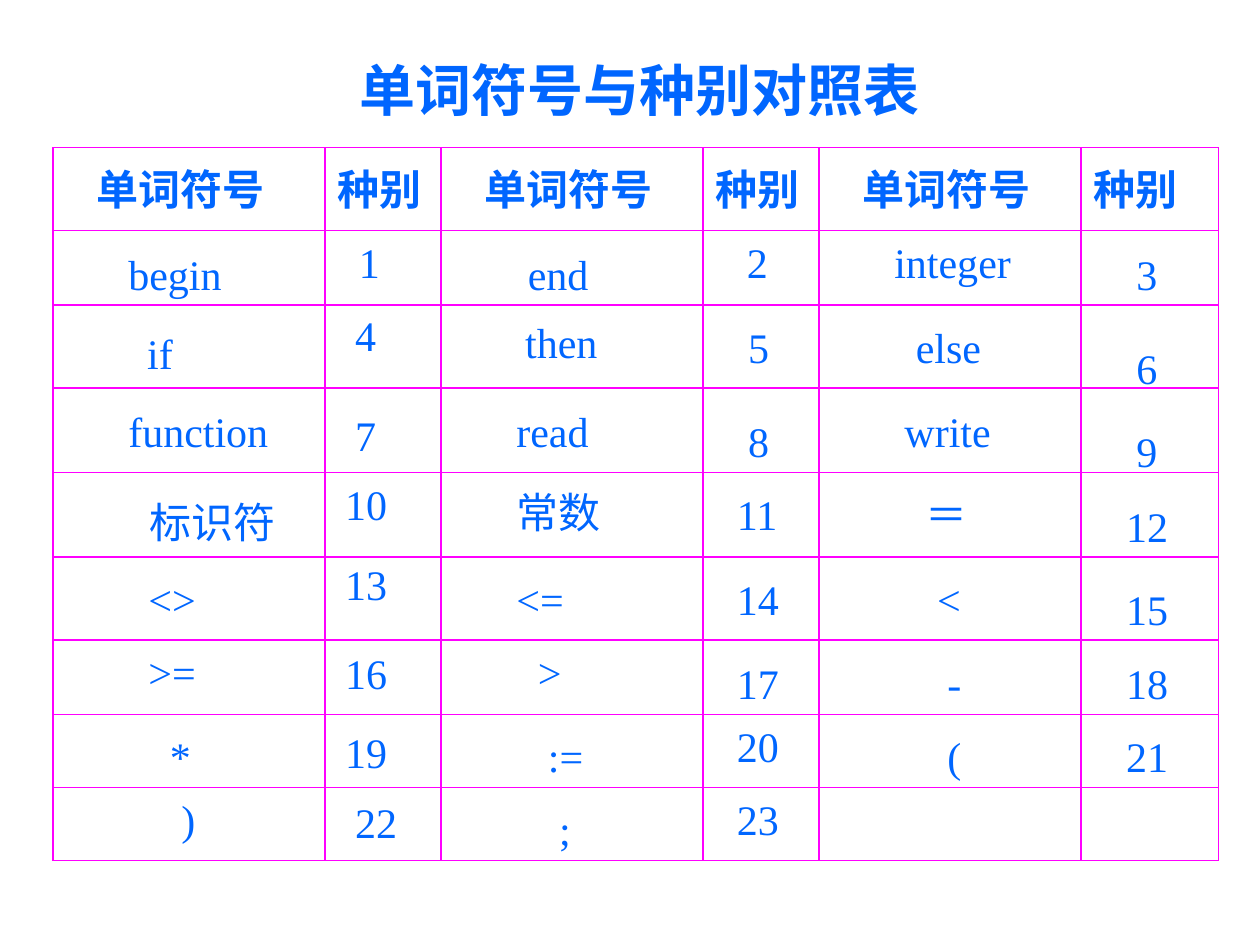
from itertools import accumulate

from lxml import etree
from pptx import Presentation
from pptx.dml.color import RGBColor
from pptx.enum.shapes import MSO_CONNECTOR
from pptx.enum.text import MSO_ANCHOR, MSO_AUTO_SIZE, PP_ALIGN
from pptx.oxml.ns import qn
from pptx.util import Inches, Pt

STRAIGHT = MSO_CONNECTOR.STRAIGHT
MIDDLE = MSO_ANCHOR.MIDDLE
FIT_SHAPE = MSO_AUTO_SIZE.SHAPE_TO_FIT_TEXT
CENTER = PP_ALIGN.CENTER

FONT = "Times New Roman"
BLUE = "0066FF"
MAGENTA = "FF00FF"
ENTRY_HEIGHT = 0.5
WIDTH_SLACK = 0.04

COLUMN_WIDTHS = [2.16, 0.92, 2.08, 0.92, 2.08, 1.09]
ROW_HEIGHTS = [0.66, 0.59, 0.66, 0.67, 0.67, 0.66, 0.59, 0.58, 0.58]

SYMBOLS = [
    ("begin", 0.5, 0.09, 0.94, 0.17, 0),
    ("end", 0.59, 0.09, 0.68, 0.25, 0),
    ("integer", 0.5, 0, 1.12, 0.34, 0.09),
    ("if", 0.65, 0.13, 0.4, 0.14, -0.01),
    ("then", 0.57, 0.04, 0.77, 0.26, 0.08),
    ("else", 0.67, 0.08, 0.72, 0.34, 0.25),
    ("function", 0.5, 0.09, 1.31, 0.14, 0.12),
    ("read", 0.5, 0.09, 0.77, 0.26, 0.17),
    ("write", 0.58, 0.09, 0.88, 0.34, 0.25),
    ("标识符", 0.67, 0.14, 1.2, 0.06, 0),
    ("常数", 0.5, 0.06, 0.86, 0.17, 0.08),
    ("＝", 0.75, 0.08, 0.53, 0.26, 0.17),
    ("<>", 0.66, 0.08, 0.57, 0.06, -0.04),
    ("<=", 0.5, 0.08, 0.57, 0.17, 0.08),
    ("<", 0.84, 0.08, 0.39, 0.26, 0.16),
    (">=", 0.66, 0, 0.57, 0.06, 0.01),
    (">", 0.67, 0, 0.39, 0.17, 0.09),
    ("-", 0.92, 0.09, 0.31, 0.26, 0.09),
    ("*", 0.83, 0.08, 0.36, 0.06, 0.05),
    (":=", 0.75, 0.08, 0.48, 0.17, 0),
    ("(", 0.92, 0.08, 0.31, 0.26, 0.08),
    (")", 0.92, 0, 0.31, 0.14, 0.02),
    (";", 0.84, 0.08, 0.29, 0.17, 0),
]


def color(hex_code):
    return RGBColor.from_string(hex_code)


def format_text(frame, size, bold):
    for run in frame.paragraphs[0].runs:
        run.font.name = FONT
        run.font.size = Pt(size)
        run.font.bold = bold
        run.font.color.rgb = color(BLUE)


def add_entry(slide, text, left, top, width, bold=False):
    entry = slide.shapes.add_textbox(
        Inches(left), Inches(top),
        Inches(width + WIDTH_SLACK), Inches(ENTRY_HEIGHT))
    frame = entry.text_frame
    frame.word_wrap = True
    frame.auto_size = FIT_SHAPE
    frame.text = text
    format_text(frame, 24, bold)


def add_rule(slide, x1, y1, x2, y2):
    rule = slide.shapes.add_connector(
        STRAIGHT, Inches(x1), Inches(y1), Inches(x2), Inches(y2))
    rule.line.color.rgb = color(MAGENTA)
    rule.line.width = Pt(0.75)
    etree.SubElement(rule._element.spPr, qn("a:effectLst"))


def add_title(slide, left, top, width, height):
    title = slide.shapes.title
    title.left, title.top = Inches(left), Inches(top)
    title.width, title.height = Inches(width), Inches(height)
    frame = title.text_frame
    frame.text = "单词符号与种别对照表"
    frame.vertical_anchor = MIDDLE
    frame.paragraphs[0].alignment = CENTER
    format_text(frame, 32, True)


def add_grid(slide, columns, rows):
    for y in rows:
        add_rule(slide, columns[0], y, columns[-1], y)
    for x in columns:
        add_rule(slide, x, rows[0], x, rows[-1])


def add_symbol_table(slide, left, top):
    columns = list(accumulate(COLUMN_WIDTHS, initial=left))
    rows = list(accumulate(ROW_HEIGHTS, initial=top))
    add_grid(slide, columns, rows)

    pairs = list(zip(columns[0:6:2], columns[1:6:2]))
    for word_x, code_x in pairs:
        add_entry(slide, "单词符号", word_x + 0.25, top + 0.08, 1.58, True)
        add_entry(slide, "种别", code_x, top + 0.08, 0.92, True)

    for index, symbol in enumerate(SYMBOLS):
        word, word_left, word_top, word_width, code_left, code_top = symbol
        row, pair = divmod(index, len(pairs))
        word_x, code_x = pairs[pair]
        y = rows[row + 1]
        code = str(index + 1)
        code_width = 0.36 if len(code) == 1 else 0.53
        add_entry(slide, word, word_x + word_left, y + word_top, word_width)
        add_entry(slide, code, code_x + code_left, y + code_top, code_width)


def main():
    deck = Presentation()
    deck.slide_width, deck.slide_height = Inches(10), Inches(7.5)
    slide = deck.slides.add_slide(deck.slide_layouts[5])
    add_title(slide, 0.83, 0.25, 8.5, 0.92)
    add_symbol_table(slide, 0.42, 1.17)
    deck.save("out.pptx")


if __name__ == "__main__":
    main()
